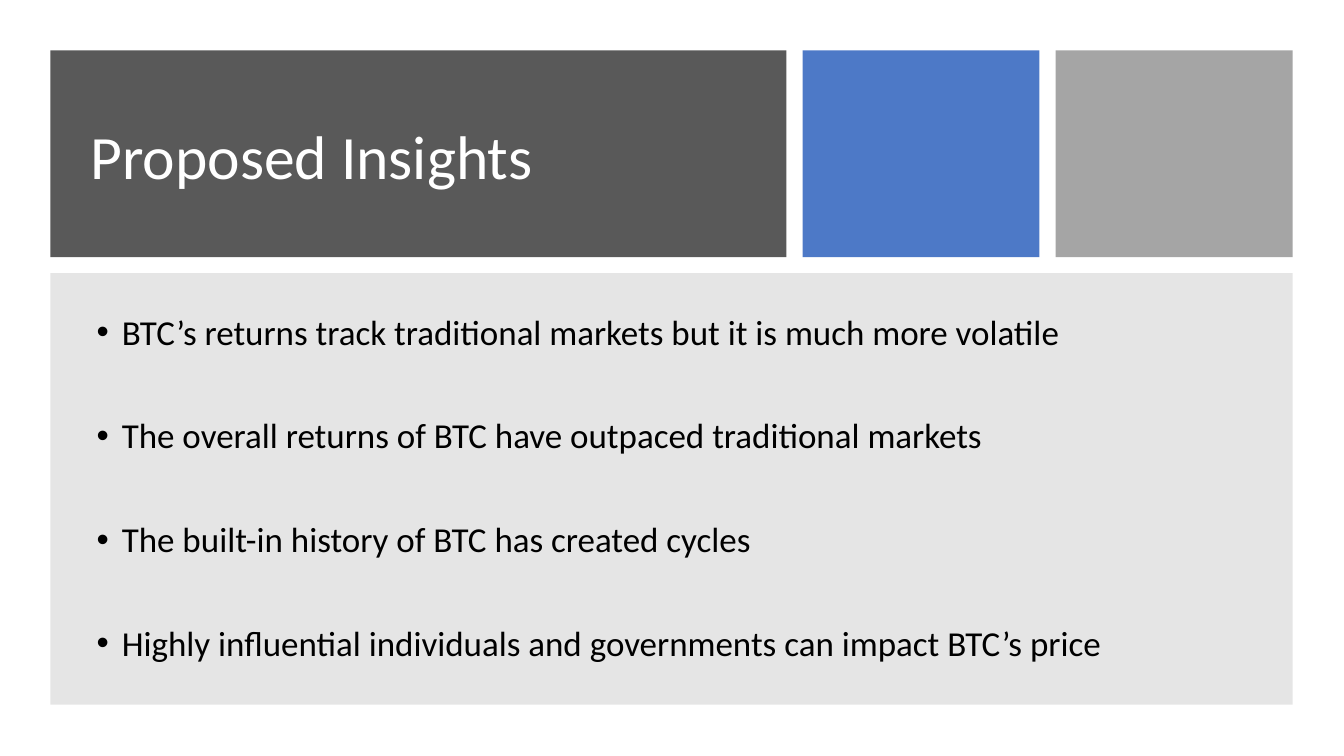
import pptx
import pptx.dml.color
import pptx.enum.shapes
import pptx.enum.text
import pptx.oxml.ns
import pptx.util
from lxml import etree

Inches = pptx.util.Inches
Pt = pptx.util.Pt

SLIDE_WIDTH, SLIDE_HEIGHT = 13.33, 7.5
MARGIN = 0.5
GAP = 0.16
HEADER_HEIGHT = 2.05
TITLE_WIDTH = 7.3
TILE_WIDTH = 2.35
BODY_TOP = MARGIN + HEADER_HEIGHT + GAP
BODY_WIDTH = TITLE_WIDTH + 2 * (GAP + TILE_WIDTH)
BODY_HEIGHT = 4.28
INSIGHTS = [
    "BTC’s returns track traditional markets but it is much more volatile",
    "The overall returns of BTC have outpaced traditional markets",
    "The built-in history of BTC has created cycles",
    "Highly influential individuals and governments can impact BTC’s price",
]


def color(value):
    return pptx.dml.color.RGBColor.from_string(value)


def add_child(parent, tag, **attributes):
    return etree.SubElement(parent, pptx.oxml.ns.qn(tag), attributes)


def add_panel(slide, left, top, width, height, fill, opacity=100):
    shape = slide.shapes.add_shape(
        pptx.enum.shapes.MSO_SHAPE.RECTANGLE,
        Inches(left), Inches(top), Inches(width), Inches(height))
    shape.shadow.inherit = False
    shape.line.fill.background()
    shape.fill.solid()
    shape.fill.fore_color.rgb = color(fill)
    if opacity < 100:
        fill_color = shape.fill._xPr.find(".//" + pptx.oxml.ns.qn("a:srgbClr"))
        add_child(fill_color, "a:alpha", val=str(opacity * 1000))


def add_text(slide, left, top, width, height, lines, size, fill):
    box = slide.shapes.add_textbox(
        Inches(left), Inches(top), Inches(width), Inches(height))
    text_frame = box.text_frame
    text_frame.word_wrap = True
    text_frame.vertical_anchor = pptx.enum.text.MSO_ANCHOR.MIDDLE
    text_frame.text = "\n".join(lines)
    for paragraph in text_frame.paragraphs:
        paragraph.line_spacing = 0.9
        for run in paragraph.runs:
            run.font.name = "Calibri"
            run.font.size = Pt(size)
            run.font.color.rgb = color(fill)
    return text_frame.paragraphs


def add_bullets(paragraphs, indent, gap):
    for index, paragraph in enumerate(paragraphs):
        paragraph.space_before = Pt(gap if index else 0)
        properties = paragraph._p.get_or_add_pPr()
        properties.set("marL", str(Inches(indent)))
        properties.set("indent", str(-Inches(indent)))
        add_child(properties, "a:buFont", typeface="Arial")
        add_child(properties, "a:buChar", char="•")


def main():
    presentation = pptx.Presentation()
    presentation.slide_width = Inches(SLIDE_WIDTH)
    presentation.slide_height = Inches(SLIDE_HEIGHT)
    slide = presentation.slides.add_slide(presentation.slide_layouts[6])

    add_panel(slide, MARGIN, MARGIN, TITLE_WIDTH, HEADER_HEIGHT, "595959")
    add_text(slide, 0.8, 0.8, 6.66, 1.56, ["Proposed Insights"], 44, "FFFFFF")

    for column, (fill, opacity) in enumerate([("4472C4", 95), ("A5A5A5", 100)]):
        left = MARGIN + TITLE_WIDTH + GAP + column * (TILE_WIDTH + GAP)
        add_panel(slide, left, MARGIN, TILE_WIDTH, HEADER_HEIGHT, fill, opacity)

    add_panel(slide, MARGIN, BODY_TOP, BODY_WIDTH, BODY_HEIGHT, "808080", 20)
    insights = add_text(slide, 0.86, 3.06, 11.59, 3.59, INSIGHTS, 25, "000000")
    add_bullets(insights, 0.25, 47)

    presentation.save("out.pptx")


main()
